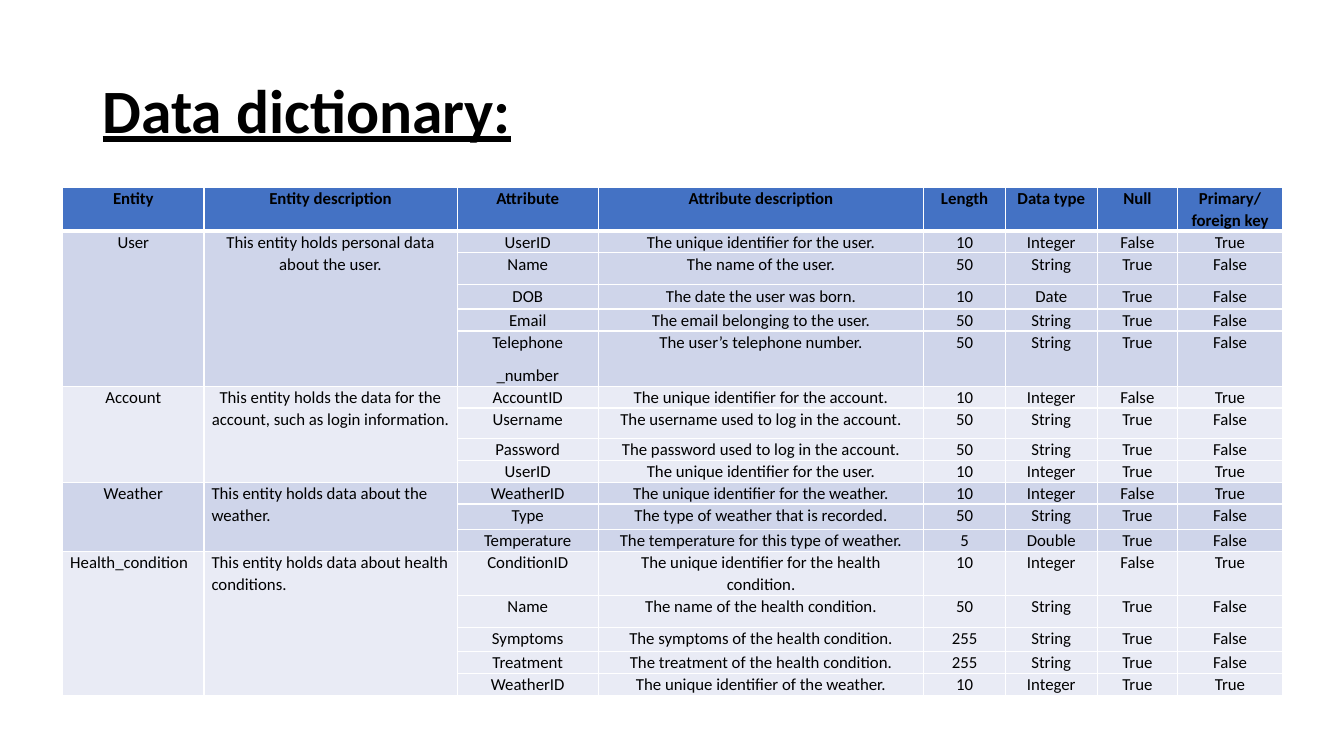
from lxml import etree
from pptx import Presentation
from pptx.dml.color import RGBColor
from pptx.enum import text
from pptx.oxml import ns
from pptx.util import Cm, Pt

CENTER, LEFT = text.PP_ALIGN.CENTER, text.PP_ALIGN.LEFT

heading = "Data dictionary:"
columns = [
    ("Entity", 3.56), ("Entity description", 6.38), ("Attribute", 3.56),
    ("Attribute description", 8.2), ("Length", 2.06), ("Data type", 2.31),
    ("Null", 2.03), ("Primary/ foreign key", 2.64),
]
entities = [
    ("User", CENTER, "This entity holds personal data about the user.", CENTER, [
        ("UserID", "The unique identifier for the user.", "10", "Integer", "False", "True"),
        ("Name", "The name of the user.", "50", "String", "True", "False"),
        ("DOB", "The date the user was born.", "10", "Date", "True", "False"),
        ("Email", "The email belonging to the user.", "50", "String", "True", "False"),
        ("Telephone\n_number", "The user’s telephone number.", "50", "String", "True", "False"),
    ]),
    ("Account", CENTER,
     "This entity holds the data for the account, such as login information.", CENTER, [
        ("AccountID", "The unique identifier for the account.", "10", "Integer", "False", "True"),
        ("Username", "The username used to log in the account.", "50", "String", "True", "False"),
        ("Password", "The password used to log in the account.", "50", "String", "True", "False"),
        ("UserID", "The unique identifier for the user.", "10", "Integer", "True", "True"),
     ]),
    ("Weather", CENTER, "This entity holds data about the weather.", LEFT, [
        ("WeatherID", "The unique identifier for the weather.", "10", "Integer", "False", "True"),
        ("Type", "The type of weather that is recorded.", "50", "String", "True", "False"),
        ("Temperature", "The temperature for this type of weather.", "5", "Double", "True", "False"),
    ]),
    ("Health_condition", LEFT, "This entity holds data about health conditions.", LEFT, [
        ("ConditionID", "The unique identifier for the health condition.", "10", "Integer", "False", "True"),
        ("Name", "The name of the health condition.", "50", "String", "True", "False"),
        ("Symptoms", "The symptoms of the health condition.", "255", "String", "True", "False"),
        ("Treatment", "The treatment of the health condition.", "255", "String", "True", "False"),
        ("WeatherID", "The unique identifier of the weather.", "10", "Integer", "True", "True"),
    ]),
]
line_height = 0.55
row_heights = {0: 1.08, 2: 0.81, 3: 0.61, 5: 1.39, 7: 0.76, 11: 0.64,
               13: 1.1, 14: 0.81, 15: 0.6}
header_fill, entity_fills = "4472C4", ("CFD5EA", "E9EBF5")
header_borders = {"lnL": 1, "lnR": 1, "lnT": 1, "lnB": 3}
cell_format = {"margin_left": Cm(0.19), "margin_right": Cm(0.19),
               "margin_top": 0, "margin_bottom": 0,
               "vertical_anchor": text.MSO_ANCHOR.TOP}
cell_paragraph = {"line_spacing": 1.07, "space_after": Pt(8)}
cell_font = {"name": "Calibri", "size": Pt(12)}
title_font = {"name": "Calibri", "size": Pt(44), "bold": True, "underline": True}


def color(value):
    return RGBColor.from_string(value)


def apply(target, values):
    for key, value in values.items():
        setattr(target, key, value)


def format_font(font, values):
    apply(font, values)
    font.color.rgb = color("000000")


def fill_cell(cell, wording, fill, align=CENTER, bold=False):
    cell.text = wording
    apply(cell, cell_format)
    cell.fill.solid()
    cell.fill.fore_color.rgb = color(fill)
    for paragraph in cell.text_frame.paragraphs:
        apply(paragraph, {**cell_paragraph, "alignment": align})
        for run in paragraph.runs:
            format_font(run.font, {**cell_font, "bold": bold})


def add_borders(cell, widths):
    properties = cell._tc.get_or_add_tcPr()
    for position, (side, width) in enumerate(widths.items()):
        line = etree.Element(ns.qn(f"a:{side}"), w=str(Pt(width)))
        solid = etree.SubElement(line, ns.qn("a:solidFill"))
        etree.SubElement(solid, ns.qn("a:srgbClr"), val="FFFFFF")
        properties.insert(position, line)


def main():
    deck = Presentation()
    deck.slide_width, deck.slide_height = Cm(33.87), Cm(19.05)
    slide = deck.slides.add_slide(deck.slide_layouts[5])

    title = slide.shapes.title
    apply(title, {"left": Cm(2.33), "top": Cm(1.01), "width": Cm(29.21), "height": Cm(3.68)})
    title.text_frame.text = heading
    title.text_frame.vertical_anchor = text.MSO_ANCHOR.MIDDLE
    paragraph = title.text_frame.paragraphs[0]
    apply(paragraph, {"alignment": LEFT, "line_spacing": 0.9})
    format_font(paragraph.runs[0].font, title_font)

    row_count = 1 + sum(len(attributes) for *_, attributes in entities)
    heights = [row_heights.get(row, line_height) for row in range(row_count)]
    dictionary = slide.shapes.add_table(
        row_count, len(columns), Cm(1.58), Cm(4.71),
        Cm(sum(width for _, width in columns)), Cm(sum(heights))).table

    for row, height in enumerate(heights):
        dictionary.rows[row].height = Cm(height)
    for column, (label, width) in enumerate(columns):
        dictionary.columns[column].width = Cm(width)
        header = dictionary.cell(0, column)
        fill_cell(header, label, header_fill, bold=True)
        add_borders(header, header_borders)

    first = 1
    for index, (entity, entity_align, description, description_align, attributes) in enumerate(entities):
        fill = entity_fills[index % 2]
        last = first + len(attributes) - 1
        for column, (wording, align) in enumerate(
                [(entity, entity_align), (description, description_align)]):
            dictionary.cell(first, column).merge(dictionary.cell(last, column))
            fill_cell(dictionary.cell(first, column), wording, fill, align)
        for row, attribute in enumerate(attributes, first):
            for column, wording in enumerate(attribute, 2):
                fill_cell(dictionary.cell(row, column), wording, fill)
        first = last + 1

    deck.save("out.pptx")


if __name__ == "__main__":
    main()
